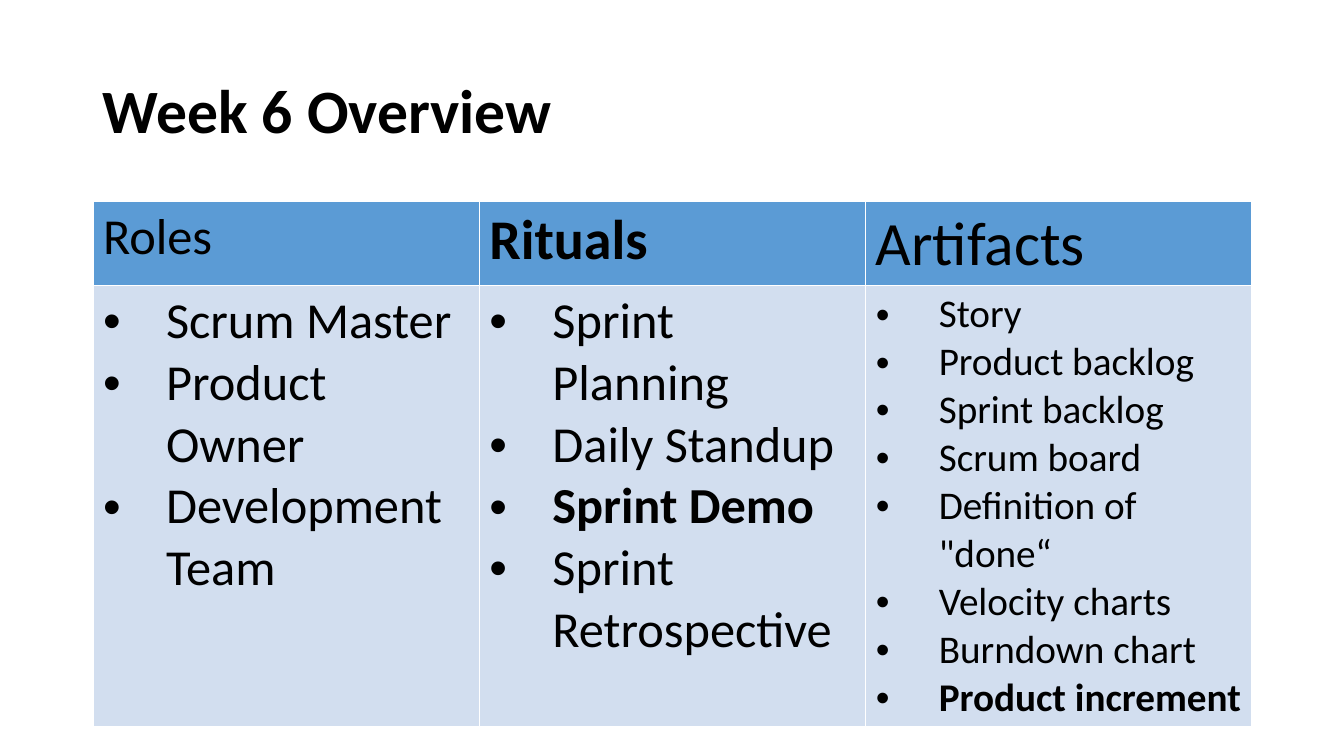
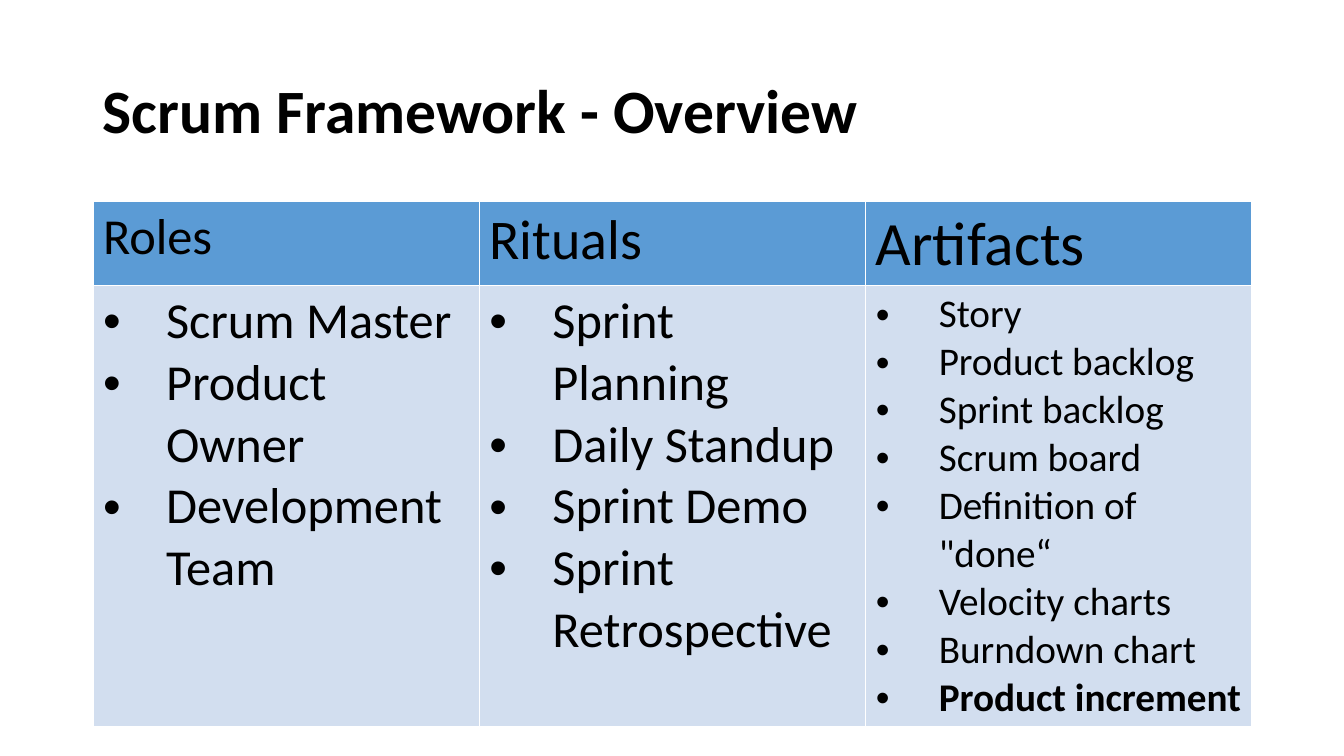
from pptx import Presentation
from pptx.dml.color import RGBColor
from pptx.enum.text import MSO_ANCHOR as Anchor
from pptx.oxml.ns import qn
from pptx.util import Pt
from lxml.etree import SubElement

BLACK = RGBColor(0x00, 0x00, 0x00)
WHITE = RGBColor(0xFF, 0xFF, 0xFF)
HEADER_BLUE = RGBColor(0x5B, 0x9B, 0xD5)
BODY_BLUE = RGBColor(0xD2, 0xDE, 0xEF)

# Heading, heading size, items, item size
COLUMNS = [
    ("Roles", 36, ["Scrum Master", "Product Owner", "Development Team"], 36),
    ("Rituals", 40, ["Sprint Planning", "Daily Standup", "Sprint Demo",
                     "Sprint Retrospective"], 36),
    ("Artifacts", 44, ["Story", "Product backlog", "Sprint backlog", "Scrum board",
                       'Definition of "done“', "Velocity charts", "Burndown chart",
                       "Product increment"], 28),
]

# Title and the entries set in bold
SLIDES = [
    ("Week 6 Overview", {"Rituals", "Sprint Demo", "Product increment"}),
    ("Scrum Framework - Overview", {"Product increment"}),
]


class Deck:
    """Holds the shared style and the current slide."""

    font = "Calibri"
    left, width = Pt(66.4), Pt(828)
    title_top, title_height, title_size = Pt(29), Pt(104), 44
    table_top, row_heights = Pt(144), (Pt(60), Pt(315))
    bullet_indent = Pt(45)
    border_width = Pt(1)

    def __init__(self):
        self.presentation = Presentation()
        self.presentation.slide_width = Pt(960)
        self.presentation.slide_height = Pt(540)
        self.slide = None

    def new_slide(self):
        layout = self.presentation.slide_layouts[6]
        self.slide = self.presentation.slides.add_slide(layout)

    def add_run(self, paragraph, text, size, bold):
        run = paragraph.add_run()
        run.text = text
        run.font.name = self.font
        run.font.size = Pt(size)
        run.font.bold = bold
        run.font.color.rgb = BLACK

    def add_title(self, text):
        shape = self.slide.shapes.add_textbox(
            self.left, self.title_top, self.width, self.title_height)
        frame = shape.text_frame
        frame.word_wrap = True
        frame.vertical_anchor = Anchor.MIDDLE
        paragraph = frame.paragraphs[0]
        paragraph.line_spacing = 0.9
        self.add_run(paragraph, text, self.title_size, True)

    def add_bullet(self, paragraph):
        properties = paragraph._p.get_or_add_pPr()
        properties.set("marL", str(self.bullet_indent))
        properties.set("indent", str(-self.bullet_indent))
        SubElement(properties, qn("a:buFont"), typeface="Arial")
        SubElement(properties, qn("a:buChar"), char="•")

    def style_cell(self, cell, color):
        properties = cell._tc.get_or_add_tcPr()
        for side in ("lnL", "lnR", "lnT", "lnB"):
            line = SubElement(properties, qn(f"a:{side}"), w=str(self.border_width))
            fill = SubElement(line, qn("a:solidFill"))
            SubElement(fill, qn("a:srgbClr"), val=str(WHITE))
        cell.fill.solid()
        cell.fill.fore_color.rgb = color

    def fill_cell(self, cell, color, entries, size, bold_entries, bulleted=False):
        self.style_cell(cell, color)
        frame = cell.text_frame
        for index, entry in enumerate(entries):
            paragraph = frame.add_paragraph() if index else frame.paragraphs[0]
            if bulleted:
                self.add_bullet(paragraph)
            self.add_run(paragraph, entry, size, entry in bold_entries)

    def add_table(self, columns, bold_entries):
        table = self.slide.shapes.add_table(
            len(self.row_heights), len(columns), self.left, self.table_top,
            self.width, sum(self.row_heights)).table
        table.first_row = table.horz_banding = False
        for row, height in zip(table.rows, self.row_heights):
            row.height = height
        for index, (heading, heading_size, items, item_size) in enumerate(columns):
            self.fill_cell(table.cell(0, index), HEADER_BLUE, [heading],
                           heading_size, bold_entries)
            self.fill_cell(table.cell(1, index), BODY_BLUE, items,
                           item_size, bold_entries, bulleted=True)


def main():
    deck = Deck()
    for title, bold_entries in SLIDES:
        deck.new_slide()
        deck.add_title(title)
        deck.add_table(COLUMNS, bold_entries)
    deck.presentation.save("out.pptx")


if __name__ == "__main__":
    main()
